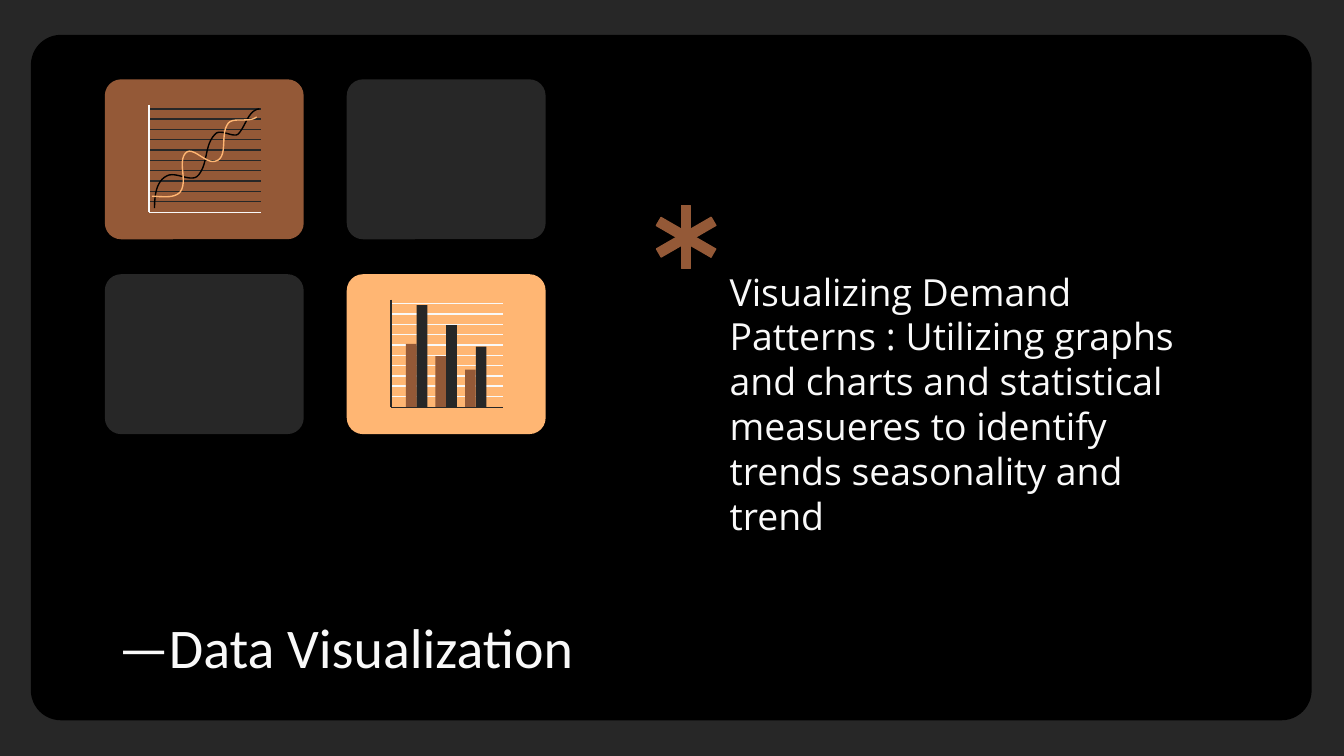
"""Build the Data Visualization slide with four chart tiles and a note."""
from lxml.etree import SubElement
from pptx import Presentation
from pptx.dml.color import RGBColor
from pptx.enum.shapes import MSO_CONNECTOR as Connector, MSO_SHAPE as Shape
from pptx.enum.text import MSO_ANCHOR as Anchor, PP_ALIGN as Align
from pptx.oxml.ns import qn
from pptx.util import Inches, Pt

BLACK = RGBColor(0x00, 0x00, 0x00)
CHARCOAL = RGBColor(0x27, 0x27, 0x27)
BROWN = RGBColor(0x94, 0x59, 0x37)
PEACH = RGBColor(0xFF, 0xB6, 0x73)
WHITE = RGBColor(0xF9, 0xF9, 0xF9)

deck = Presentation()
deck.slide_width = Inches(10)
deck.slide_height = deck.slide_width * 9 // 16
slide = deck.slides.add_slide(deck.slide_layouts[5])
slide.background.fill.solid()
slide.background.fill.fore_color.rgb = CHARCOAL


def add_block(kind, left, top, width, height, color):
    block = slide.shapes.add_shape(kind, Inches(left), Inches(top), Inches(width), Inches(height))
    block.shadow.inherit = False
    block.fill.solid()
    block.fill.fore_color.rgb = color
    block.line.fill.background()
    return block


def add_line(x1, y1, x2, y2, color):
    line = slide.shapes.add_connector(
        Connector.STRAIGHT, Inches(x1), Inches(y1), Inches(x2), Inches(y2))
    line.line.color.rgb = color
    line.line.width = Pt(0.75)
    SubElement(line.element.spPr, qn("a:effectLst"))


panel = add_block(Shape.ROUNDED_RECTANGLE, 0.23, 0.26, 9.53, 5.1, BLACK)
panel.adjustments[0] = 0.044
title = slide.shapes.title
title.element.addprevious(panel.element)
title.left, title.top, title.width, title.height = Inches(0.78), Inches(4.46), Inches(5.52), Inches(0.58)
note = slide.shapes.add_textbox(Inches(5.33), Inches(1.85), Inches(3.89), Inches(2.25))

texts = [
    (title, "—Data Visualization", "Calibri", 30, Anchor.TOP),
    (note, "Visualizing Demand Patterns : Utilizing graphs and charts and statistical "
           "measueres to identify trends seasonality and trend", "Open Sans", 20, Anchor.BOTTOM),
]
for box, text, font_name, size, anchor in texts:
    frame = box.text_frame
    frame.word_wrap = True
    frame.vertical_anchor = anchor
    frame.margin_left = frame.margin_right = Inches(0.1)
    frame.margin_top = frame.margin_bottom = Inches(0.1)
    para = frame.paragraphs[0]
    para.text = text
    para.alignment = Align.LEFT
    para.line_spacing = 1.0
    para.font.name = font_name
    para.font.size = Pt(size)
    para.font.color.rgb = WHITE

tiles = [(0.78, 0.59, BROWN), (2.58, 0.59, CHARCOAL), (0.78, 2.04, CHARCOAL), (2.58, 2.04, PEACH)]
for left, top, color in tiles:
    tile = add_block(Shape.ROUNDED_RECTANGLE, left, top, 1.48, 1.19, color)
    tile.adjustments[0] = 0.102

charts = [(1.11, 0.78, CHARCOAL, WHITE), (2.91, 2.23, WHITE, CHARCOAL)]
for left, top, grid_color, axis_color in charts:
    for row in range(10):
        y = top + 0.03 + row * 0.69 / 9
        add_line(left, y, left + 0.83, y, grid_color)

base = 3.03
for group, heights in enumerate([(0.47, 0.76), (0.38, 0.61), (0.28, 0.45)]):
    for bar, (height, color) in enumerate(zip(heights, (BROWN, CHARCOAL))):
        add_block(Shape.RECTANGLE, 3.02 + group * 0.22 + bar * 0.08, base - height, 0.08, height, color)

for left, top, grid_color, axis_color in charts:
    add_line(left, top + 0.8, left + 0.83, top + 0.8, axis_color)
    add_line(left, top, left, top + 0.8, axis_color)

curves = [
    (BLACK, [(1.15, 1.55), (1.15, 1.46), (1.16, 1.35), (1.24, 1.31), (1.31, 1.27), (1.43, 1.37),
             (1.48, 1.3), (1.55, 1.21), (1.52, 1.08), (1.6, 1), (1.64, 0.95), (1.75, 1.04),
             (1.78, 0.99), (1.83, 0.93), (1.85, 0.82), (1.93, 0.81)]),
    (PEACH, [(1.13, 1.46), (1.2, 1.46), (1.29, 1.48), (1.34, 1.43), (1.4, 1.35), (1.32, 1.21),
             (1.38, 1.14), (1.43, 1.08), (1.53, 1.22), (1.6, 1.2), (1.7, 1.18), (1.64, 1.01),
             (1.69, 0.93), (1.72, 0.86), (1.85, 0.92), (1.91, 0.87)]),
]
steps = 12
for color, points in curves:
    samples = [tuple(Inches(value) for value in points[0])]
    for start in range(0, len(points) - 1, 3):
        for step in range(1, steps + 1):
            t = step / steps
            weights = ((1 - t) ** 3, 3 * t * (1 - t) ** 2, 3 * t ** 2 * (1 - t), t ** 3)
            samples.append(tuple(
                Inches(sum(weight * point[axis] for weight, point in zip(weights, points[start:start + 4])))
                for axis in (0, 1)))
    builder = slide.shapes.build_freeform(*samples[0])
    builder.add_line_segments(samples[1:], close=False)
    curve = builder.convert_to_shape()
    curve.shadow.inherit = False
    curve.fill.background()
    curve.line.color.rgb = color
    curve.line.width = Pt(0.75)

for angle in (0, 300, 60):
    arm = add_block(Shape.RECTANGLE, 5.07, 1.53, 0.07, 0.47, BROWN)
    arm.rotation = angle
    arm.line.color.rgb = BROWN
    arm.line.width = Pt(0.75)

deck.save("out.pptx")
